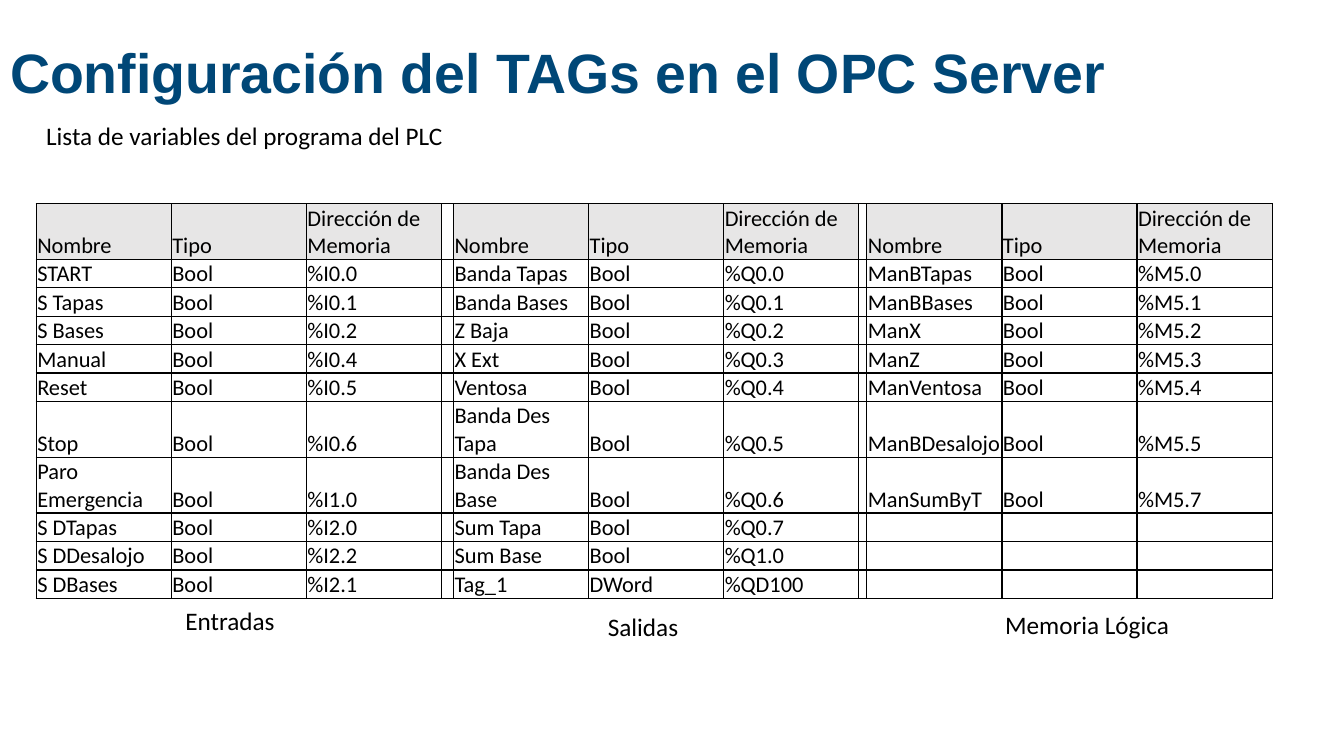
from itertools import zip_longest

from lxml.etree import SubElement
from pptx import Presentation
from pptx.dml.color import RGBColor
from pptx.enum.text import MSO_ANCHOR as Anchor, MSO_AUTO_SIZE as AutoSize, PP_ALIGN as Align
from pptx.oxml.ns import qn
from pptx.util import Inches, Pt

WIDTH, HEIGHT = 13.33, 7.5
NAME_WIDTH, ROW_HEIGHT = 1.34, 0.21
GAP_WIDTHS = (0.12, 0.08)
BLACK, NAVY, GREY = "000000", "004777", "E7E6E6"
HEADINGS = ("Nombre", "Tipo", "Dirección de Memoria")
TITLE_FORMAT = {"name": "Arial", "size": Pt(39.6), "bold": True}
LABEL_FORMAT = {"name": "Calibri", "size": Pt(18)}
CELL_FORMAT = {"name": "Calibri", "size": Pt(16)}
CELL_LAYOUT = {"margin_left": Inches(0.01), "margin_right": Inches(0.01),
               "margin_top": Inches(0.01), "margin_bottom": 0,
               "vertical_anchor": Anchor.BOTTOM}

INPUTS = [
    ("START", "Bool", "%I0.0"), ("S Tapas", "Bool", "%I0.1"),
    ("S Bases", "Bool", "%I0.2"), ("Manual", "Bool", "%I0.4"),
    ("Reset", "Bool", "%I0.5"), ("Stop", "Bool", "%I0.6"),
    ("Paro Emergencia", "Bool", "%I1.0"), ("S DTapas", "Bool", "%I2.0"),
    ("S DDesalojo", "Bool", "%I2.2"), ("S DBases", "Bool", "%I2.1"),
]
OUTPUTS = [
    ("Banda Tapas", "Bool", "%Q0.0"), ("Banda Bases", "Bool", "%Q0.1"),
    ("Z Baja", "Bool", "%Q0.2"), ("X Ext", "Bool", "%Q0.3"),
    ("Ventosa", "Bool", "%Q0.4"), ("Banda Des Tapa", "Bool", "%Q0.5"),
    ("Banda Des Base", "Bool", "%Q0.6"), ("Sum Tapa", "Bool", "%Q0.7"),
    ("Sum Base", "Bool", "%Q1.0"), ("Tag_1", "DWord", "%QD100"),
]
MEMORY = [
    ("ManBTapas", "Bool", "%M5.0"), ("ManBBases", "Bool", "%M5.1"),
    ("ManX", "Bool", "%M5.2"), ("ManZ", "Bool", "%M5.3"),
    ("ManVentosa", "Bool", "%M5.4"), ("ManBDesalojo", "Bool", "%M5.5"),
    ("ManSumByT", "Bool", "%M5.7"),
]


def color(value):
    return RGBColor.from_string(value)


def apply(target, values):
    for name, value in values.items():
        setattr(target, name, value)


def write(para, text, values, hex_color=BLACK):
    span = para.add_run()
    span.text = text
    apply(span.font, values)
    span.font.color.rgb = color(hex_color)


def add_title(page, box, text):
    title = page.shapes.title
    apply(title, dict(zip(("left", "top", "width", "height"), map(Inches, box))))
    frame = title.text_frame
    apply(frame, {"vertical_anchor": Anchor.MIDDLE, "word_wrap": True,
                  "auto_size": AutoSize.NONE})
    para = frame.paragraphs[0]
    apply(para, {"alignment": Align.LEFT, "line_spacing": 0.9})
    write(para, text, TITLE_FORMAT, NAVY)


def add_label(page, box, text):
    frame = page.shapes.add_textbox(*map(Inches, box)).text_frame
    apply(frame, {"word_wrap": False, "auto_size": AutoSize.SHAPE_TO_FIT_TEXT})
    write(frame.paragraphs[0], text, LABEL_FORMAT)


def add_borders(cell):
    properties = cell._tc.get_or_add_tcPr()
    for side in ("a:lnL", "a:lnR", "a:lnT", "a:lnB"):
        line = SubElement(properties, qn(side), w=str(Pt(1)))
        fill = SubElement(line, qn("a:solidFill"))
        SubElement(fill, qn("a:srgbClr"), val=BLACK)


def fill_cell(cell, text, is_heading):
    apply(cell, CELL_LAYOUT)
    add_borders(cell)
    if is_heading and text:
        cell.fill.solid()
        cell.fill.fore_color.rgb = color(GREY)
    else:
        cell.fill.background()
    para = cell.text_frame.paragraphs[0]
    if text:
        write(para, text, CELL_FORMAT)
    else:
        # An empty cell must not stretch its row
        para._p.get_or_add_endParaRPr().set("sz", "1200")


def add_tag_table(page, left, top, groups):
    blank = ("",) * len(HEADINGS)
    rows = [(HEADINGS,) * len(groups), *zip_longest(*groups, fillvalue=blank)]
    # Each group is three equal columns, with a narrow gap before the next one
    widths = [NAME_WIDTH] * len(HEADINGS)
    for gap in GAP_WIDTHS:
        widths += [gap] + [NAME_WIDTH] * len(HEADINGS)
    table = page.shapes.add_table(
        len(rows), len(widths), Inches(left), Inches(top),
        Inches(sum(widths)), Inches(ROW_HEIGHT * len(rows))).table
    apply(table, {"first_row": False, "horz_banding": False})
    for column, width in zip(table.columns, widths):
        column.width = Inches(width)
    for index, (table_row, parts) in enumerate(zip(table.rows, rows)):
        table_row.height = Inches(ROW_HEIGHT)
        texts = [text for part in parts for text in (*part, "")][:-1]
        for cell, text in zip(table_row.cells, texts):
            fill_cell(cell, text, index == 0)


def main():
    deck = Presentation()
    deck.slide_width, deck.slide_height = Inches(WIDTH), Inches(HEIGHT)
    page = deck.slides.add_slide(deck.slide_layouts[5])

    # Heading, then the table of variables
    add_title(page, (0, 0.43, 11.51, 0.64), "Configuración del TAGs en el OPC Server")
    add_tag_table(page, 0.36, 2.02, (INPUTS, OUTPUTS, MEMORY))

    # Subtitle and the captions under the groups
    for left, top, width, text in (
            (0.36, 1.14, 4.3, "Lista de variables del programa del PLC"),
            (1.74, 5.96, 1.1, "Entradas"),
            (5.93, 6.02, 0.91, "Salidas"),
            (9.87, 6, 1.85, "Memoria Lógica")):
        add_label(page, (left, top, width, 0.4), text)

    deck.save("out.pptx")


if __name__ == "__main__":
    main()
